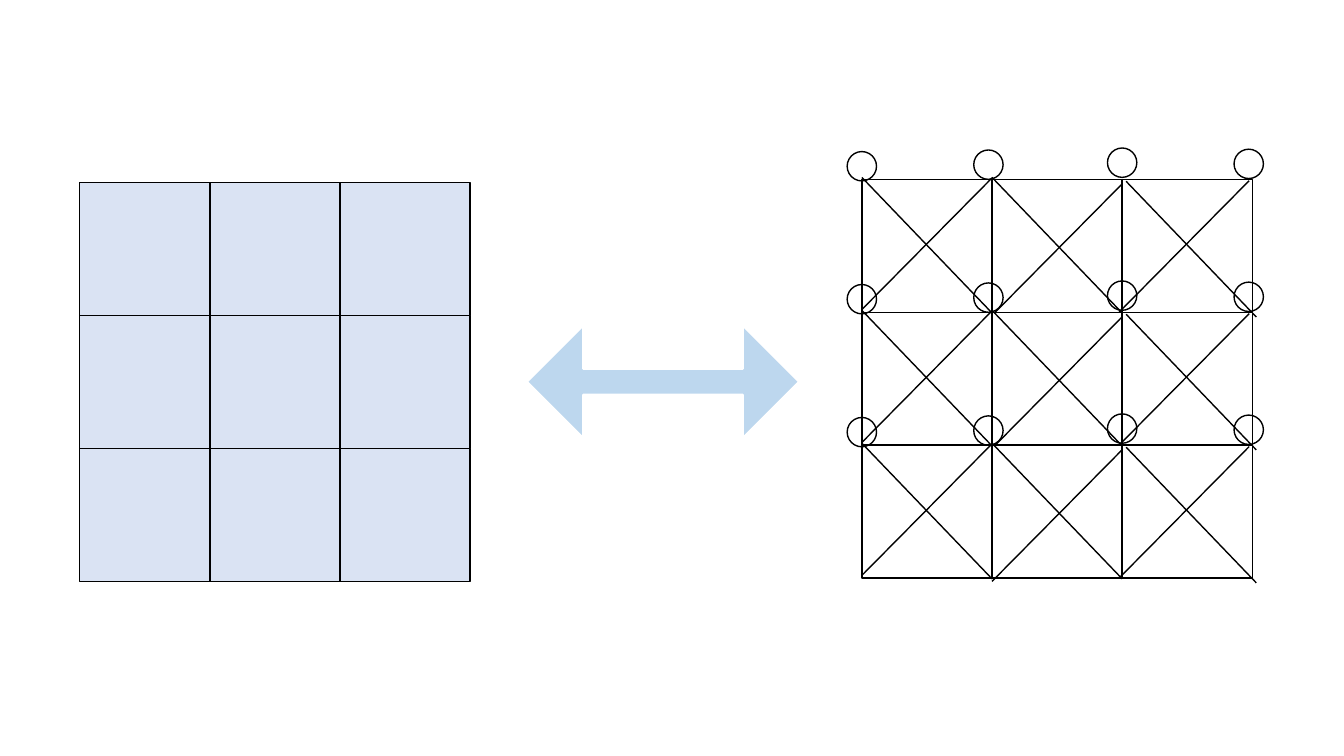
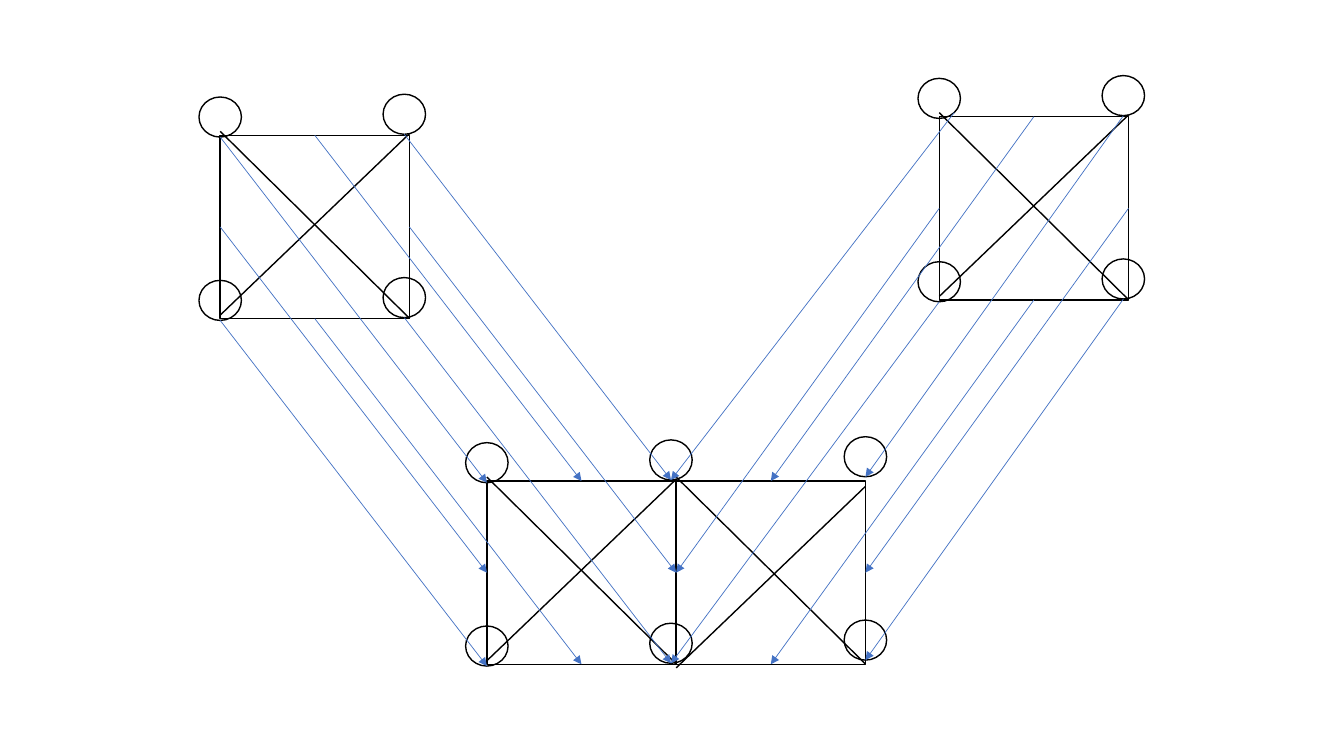
from dataclasses import dataclass
from math import sqrt
from typing import NamedTuple

from lxml import etree
from pptx import Presentation
from pptx.dml.color import RGBColor
from pptx.enum.shapes import MSO_CONNECTOR, MSO_SHAPE
from pptx.oxml.ns import qn
from pptx.shapes.autoshape import Shape
from pptx.shapes.connector import Connector
from pptx.slide import Slide
from pptx.util import Cm, Pt

RECTANGLE = MSO_SHAPE.RECTANGLE
ELLIPSE = MSO_SHAPE.OVAL
DOUBLE_ARROW = MSO_SHAPE.LEFT_RIGHT_ARROW
STRAIGHT = MSO_CONNECTOR.STRAIGHT

BLACK = RGBColor(0x00, 0x00, 0x00)
WHITE = RGBColor(0xFF, 0xFF, 0xFF)
PALE_BLUE = RGBColor(0xDA, 0xE3, 0xF3)
SKY_BLUE = RGBColor(0xBD, 0xD7, 0xEE)
ARROW_BLUE = RGBColor(0x44, 0x72, 0xC4)

BLANK_LAYOUT = 6
RECTANGLE_SIDES = range(4)
FALLING_SPAN = 1.02
RISING_SPAN = 0.99


class Point(NamedTuple):
    x: float
    y: float


class Box(NamedTuple):
    left: float
    top: float
    width: float
    height: float


class Brace(NamedTuple):
    falling: Point
    rising: Point


@dataclass(frozen=True)
class TrussStyle:
    cell_width: float
    cell_height: float
    node_width: float
    node_height: float
    node_rows: int
    braces: tuple[Brace, ...]
    node_offsets: tuple[Point, ...]


@dataclass(frozen=True)
class Truss:
    cells: list[Shape]
    node_boxes: list[list[Box]]


LATTICE = TrussStyle(
    cell_width=3.28,
    cell_height=3.35,
    node_width=0.74,
    node_height=0.74,
    node_rows=3,
    braces=(
        Brace(Point(0, -0.05), Point(0, -0.07)),
        Brace(Point(0, -0.05), Point(0, 0.08)),
        Brace(Point(0.1, 0.05), Point(-0.08, 0)),
    ),
    node_offsets=(Point(0, -0.33), Point(-0.09, -0.37), Point(0, -0.42), Point(-0.09, -0.39)),
)
ASSEMBLY = TrussStyle(
    cell_width=4.77,
    cell_height=4.62,
    node_width=1.07,
    node_height=1.01,
    node_rows=2,
    braces=(
        Brace(Point(0, -0.1), Point(0, -0.09)),
        Brace(Point(0, -0.1), Point(0, 0.09)),
    ),
    node_offsets=(Point(0, -0.46), Point(-0.13, -0.53), Point(0, -0.61)),
)


def add_shape(
    slide: Slide,
    kind: MSO_SHAPE,
    box: Box,
    fill: RGBColor | None = None,
    line: RGBColor = BLACK,
    line_width: float = 1,
) -> Shape:
    shape = slide.shapes.add_shape(kind, *(Cm(length) for length in box))
    shape.shadow.inherit = False
    if fill is None:
        shape.fill.background()
    else:
        shape.fill.solid()
        shape.fill.fore_color.rgb = fill
    shape.line.color.rgb = line
    shape.line.width = Pt(line_width)
    return shape


def add_line(
    slide: Slide,
    start: Point,
    end: Point,
    color: RGBColor = BLACK,
    width: float = 1,
    arrowhead: bool = False,
) -> Connector:
    connector = slide.shapes.add_connector(
        STRAIGHT, Cm(start.x), Cm(start.y), Cm(end.x), Cm(end.y)
    )
    connector.line.color.rgb = color
    connector.line.width = Pt(width)
    if arrowhead:
        etree.SubElement(connector.line._get_or_add_ln(), qn("a:tailEnd"), type="triangle")
    etree.SubElement(connector._element.spPr, qn("a:effectLst"))
    return connector


def add_arrow(slide: Slide, start: Point, end: Point) -> Connector:
    return add_line(slide, start, end, color=ARROW_BLUE, width=0.5, arrowhead=True)


def add_cell_row(
    slide: Slide, origin: Point, style: TrussStyle, row: int, columns: int, fill: RGBColor
) -> list[Shape]:
    width, height = style.cell_width, style.cell_height
    return [
        add_shape(
            slide,
            RECTANGLE,
            Box(origin.x + column * width, origin.y + row * height, width, height),
            fill=fill,
        )
        for column in range(columns)
    ]


def add_brace(slide: Slide, corner: Point, style: TrussStyle, brace: Brace) -> None:
    width, height = style.cell_width, style.cell_height
    falling = Point(corner.x + brace.falling.x, corner.y + brace.falling.y)
    rising = Point(corner.x + brace.rising.x, corner.y + height + brace.rising.y)
    add_line(slide, falling, Point(falling.x + width, falling.y + height * FALLING_SPAN))
    add_line(slide, rising, Point(rising.x + width, rising.y - height * RISING_SPAN))


def add_truss(slide: Slide, origin: Point, style: TrussStyle, rows: int, columns: int) -> Truss:
    cells: list[Shape] = []
    for row in range(rows):
        cells += add_cell_row(slide, origin, style, row, columns, WHITE)
        for column, brace in enumerate(style.braces[:columns]):
            corner = Point(
                origin.x + column * style.cell_width, origin.y + row * style.cell_height
            )
            add_brace(slide, corner, style, brace)
    node_boxes = [
        [
            Box(
                origin.x + column * style.cell_width + offset.x - style.node_width / 2,
                origin.y + row * style.cell_height + offset.y - style.node_height / 2,
                style.node_width,
                style.node_height,
            )
            for column, offset in enumerate(style.node_offsets[: columns + 1])
        ]
        for row in range(style.node_rows)
    ]
    for node_row in node_boxes:
        for box in node_row:
            add_shape(slide, ELLIPSE, box)
    return Truss(cells, node_boxes)


def node_bottom(box: Box) -> Point:
    return Point(box.left + box.width / 2, box.top + box.height)


def node_lower_right(box: Box) -> Point:
    reach = (1 + 1 / sqrt(2)) / 2
    return Point(box.left + box.width * reach, box.top + box.height * reach)


def add_side_arrows(slide: Slide, source: Shape, target: Shape) -> None:
    for side in RECTANGLE_SIDES:
        arrow = add_arrow(slide, Point(0, 0), Point(1, 1))
        arrow.begin_connect(source, side)
        arrow.end_connect(target, side)


def add_node_arrows(
    slide: Slide, source: Truss, target: Truss, first_column: int, lean_first: bool
) -> None:
    for row, node_row in enumerate(source.node_boxes):
        for column, box in enumerate(node_row):
            leaning = lean_first and row == column == 0
            start = node_lower_right(box) if leaning else node_bottom(box)
            end = node_bottom(target.node_boxes[row][first_column + column])
            add_arrow(slide, start, end)


def build_lattice_slide(slide: Slide) -> None:
    for row in range(3):
        add_cell_row(slide, Point(2.01, 4.6), LATTICE, row, 3, PALE_BLUE)
    add_truss(slide, Point(21.72, 4.52), LATTICE, rows=3, columns=3)
    double_arrow = add_shape(
        slide,
        DOUBLE_ARROW,
        Box(13.28, 8.2, 6.86, 2.84),
        fill=SKY_BLUE,
        line=WHITE,
        line_width=1.5,
    )
    double_arrow.adjustments[0] = 0.23
    double_arrow.adjustments[1] = 0.5


def build_assembly_slide(slide: Slide) -> None:
    assembled = add_truss(slide, Point(12.27, 12.12), ASSEMBLY, rows=1, columns=2)
    left_element = add_truss(slide, Point(5.55, 3.41), ASSEMBLY, rows=1, columns=1)
    right_element = add_truss(slide, Point(23.67, 2.94), ASSEMBLY, rows=1, columns=1)
    for column, element in enumerate((left_element, right_element)):
        add_side_arrows(slide, element.cells[0], assembled.cells[column])
        add_node_arrows(
            slide, element, assembled, column, lean_first=element is right_element
        )


def main() -> None:
    presentation = Presentation()
    presentation.slide_width = Cm(33.87)
    presentation.slide_height = Cm(19.05)
    for build_slide in (build_lattice_slide, build_assembly_slide):
        build_slide(presentation.slides.add_slide(presentation.slide_layouts[BLANK_LAYOUT]))
    presentation.save("out.pptx")


if __name__ == "__main__":
    main()
